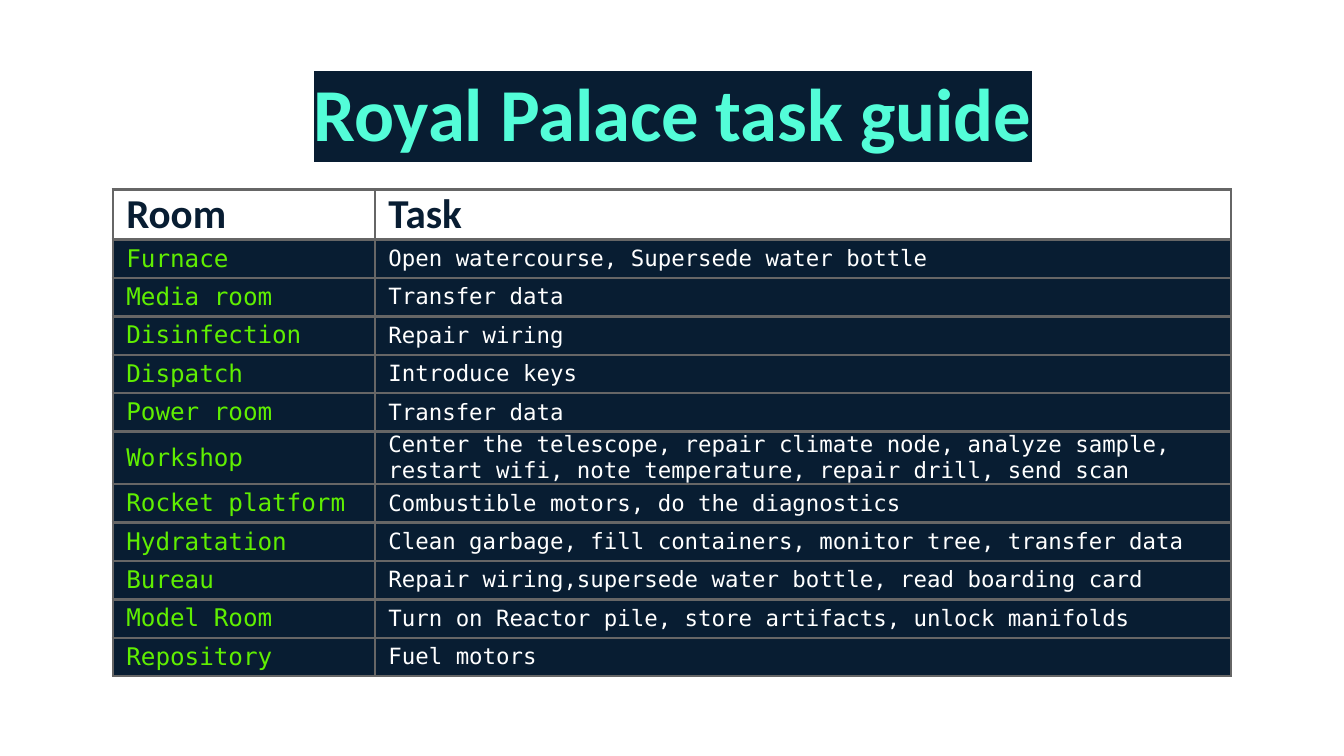
from dataclasses import dataclass
from typing import NamedTuple

from lxml.etree import SubElement as Sub
from pptx import Presentation
from pptx.dml.color import RGBColor as Rgb
from pptx.enum.text import MSO_ANCHOR as Anchor, MSO_AUTO_SIZE as Fit, PP_ALIGN as Align
from pptx.oxml import parse_xml
from pptx.oxml.ns import nsdecls, qn
from pptx.slide import Slide
from pptx.table import _Cell as Cell
from pptx.text.text import _Paragraph as Para
from pptx.util import Inches, Pt


class Style(NamedTuple):
    font: str
    size: int
    color: str
    bold: bool = False
    mark: str = ""


@dataclass(frozen=True)
class Theme:
    navy: str = "081D32"
    white: str = "FFFFFF"
    edge: str = "666666"
    line: float = 1.5
    title: Style = Style("Calibri", 40, "53FDD8", True, "081D32")
    head: Style = Style("Calibri", 22, "081D32", True)
    room: Style = Style("DejaVu Sans Mono", 13, "60EF01", False, "081D32")
    task: Style = Style("DejaVu Sans Mono", 12, "FFFFFF", False, "081D32")


class Entry(NamedTuple):
    room: str
    task: str


THEME = Theme()
HEAD = Entry("Room", "Task")
GUIDE = [
    Entry("Furnace", "Open watercourse, Supersede water bottle"),
    Entry("Media room", "Transfer data"),
    Entry("Disinfection", "Repair wiring"),
    Entry("Dispatch", "Introduce keys"),
    Entry("Power room", "Transfer data"),
    Entry("Workshop", "Center the telescope, repair climate node, analyze sample, "
          "restart wifi, note temperature, repair drill, send scan"),
    Entry("Rocket platform", "Combustible motors, do the diagnostics"),
    Entry("Hydratation", "Clean garbage, fill containers, monitor tree, transfer data"),
    Entry("Bureau", "Repair wiring,supersede water bottle, read boarding card"),
    Entry("Model Room", "Turn on Reactor pile, store artifacts, unlock manifolds"),
    Entry("Repository", "Fuel motors"),
]


def write(para: Para, text: str, style: Style) -> None:
    para.text = text
    for run in para.runs:
        font = run.font
        font.name, font.size, font.bold = style.font, Pt(style.size), style.bold
        font.color.rgb = Rgb.from_string(style.color)
        if style.mark:
            mark = parse_xml(f'<a:highlight {nsdecls("a")}><a:srgbClr val="{style.mark}"/></a:highlight>')
            run._r.get_or_add_rPr().find(qn("a:solidFill")).addnext(mark)


def border(cell: Cell) -> None:
    props = cell._tc.get_or_add_tcPr()
    for side in "LRTB":
        line = Sub(props, qn(f"a:ln{side}"), w=str(Pt(THEME.line)))
        Sub(Sub(line, qn("a:solidFill")), qn("a:srgbClr"), val=THEME.edge)


def fill_cell(cell: Cell, text: str, style: Style, fill: str) -> None:
    border(cell)
    cell.fill.solid()
    cell.fill.fore_color.rgb = Rgb.from_string(fill)
    cell.vertical_anchor = Anchor.MIDDLE
    cell.margin_left = Inches(0.1)
    cell.margin_right = cell.margin_top = cell.margin_bottom = 0
    write(cell.text_frame.paragraphs[0], text, style)


def add_title(slide: Slide, text: str) -> None:
    title = slide.shapes.title
    title.left, title.top = Inches(0.79), Inches(0.4)
    title.width, title.height = Inches(8.43), Inches(0.63)
    frame = title.text_frame
    frame.auto_size, frame.word_wrap = Fit.NONE, True
    frame.vertical_anchor = Anchor.TOP
    frame.margin_left = frame.margin_right = Inches(0.1)
    frame.margin_top = frame.margin_bottom = Inches(0.1)
    para = frame.paragraphs[0]
    write(para, text, THEME.title)
    para.alignment = Align.CENTER


def add_guide(slide: Slide, guide: list[Entry]) -> None:
    count = len(guide) + 1
    high = Inches(3.43)
    table = slide.shapes.add_table(
        count, 2, Inches(0.84), Inches(1.41), Inches(8.32), high).table
    for col, wide in zip(table.columns, (1.95, 6.37)):
        col.width = Inches(wide)
    for index, entry in enumerate([HEAD, *guide]):
        row = table.rows[index]
        row.height = high // count
        styles = (THEME.room, THEME.task) if index else (THEME.head, THEME.head)
        fill = THEME.navy if index else THEME.white
        for cell, text, style in zip(row.cells, entry, styles):
            fill_cell(cell, text, style, fill)


def main() -> None:
    deck = Presentation()
    deck.slide_width = Inches(10)
    deck.slide_height = deck.slide_width * 9 // 16
    slide = deck.slides.add_slide(deck.slide_layouts[5])
    add_title(slide, "Royal Palace task guide")
    add_guide(slide, GUIDE)
    deck.save("out.pptx")


if __name__ == "__main__":
    main()
